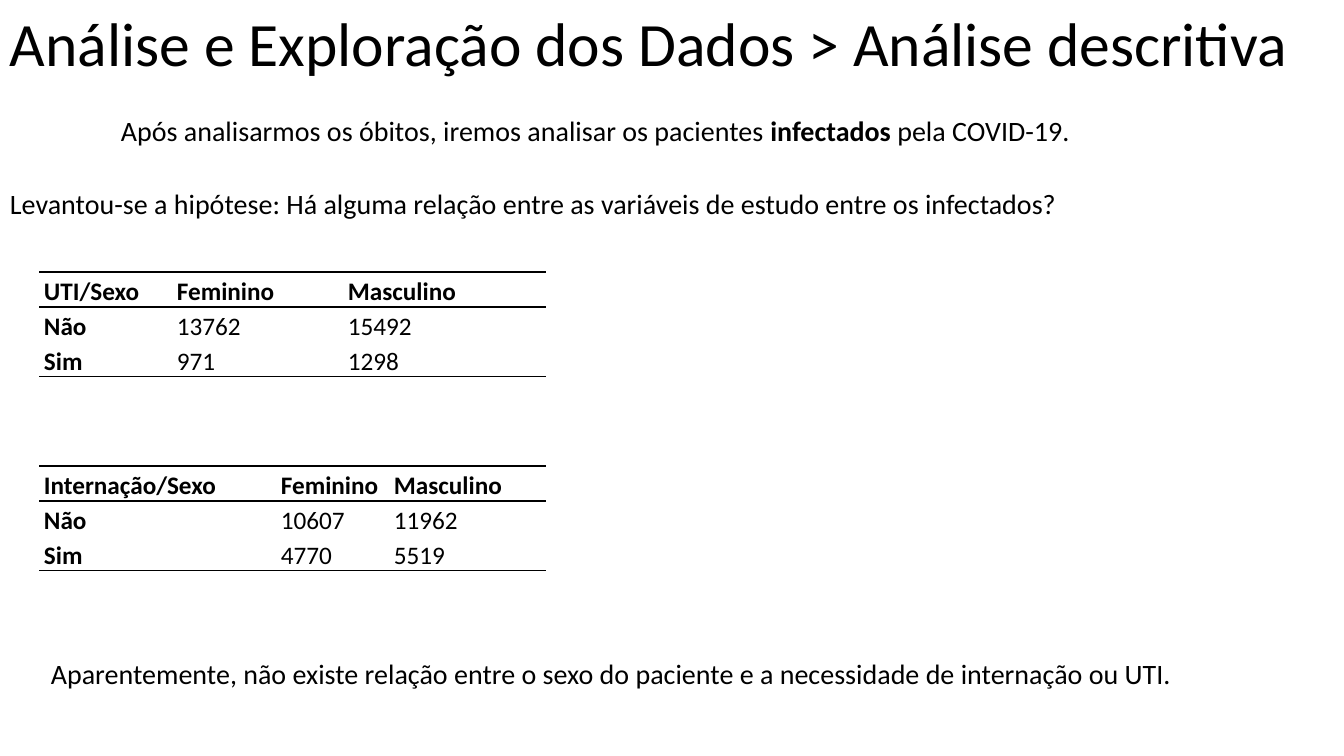
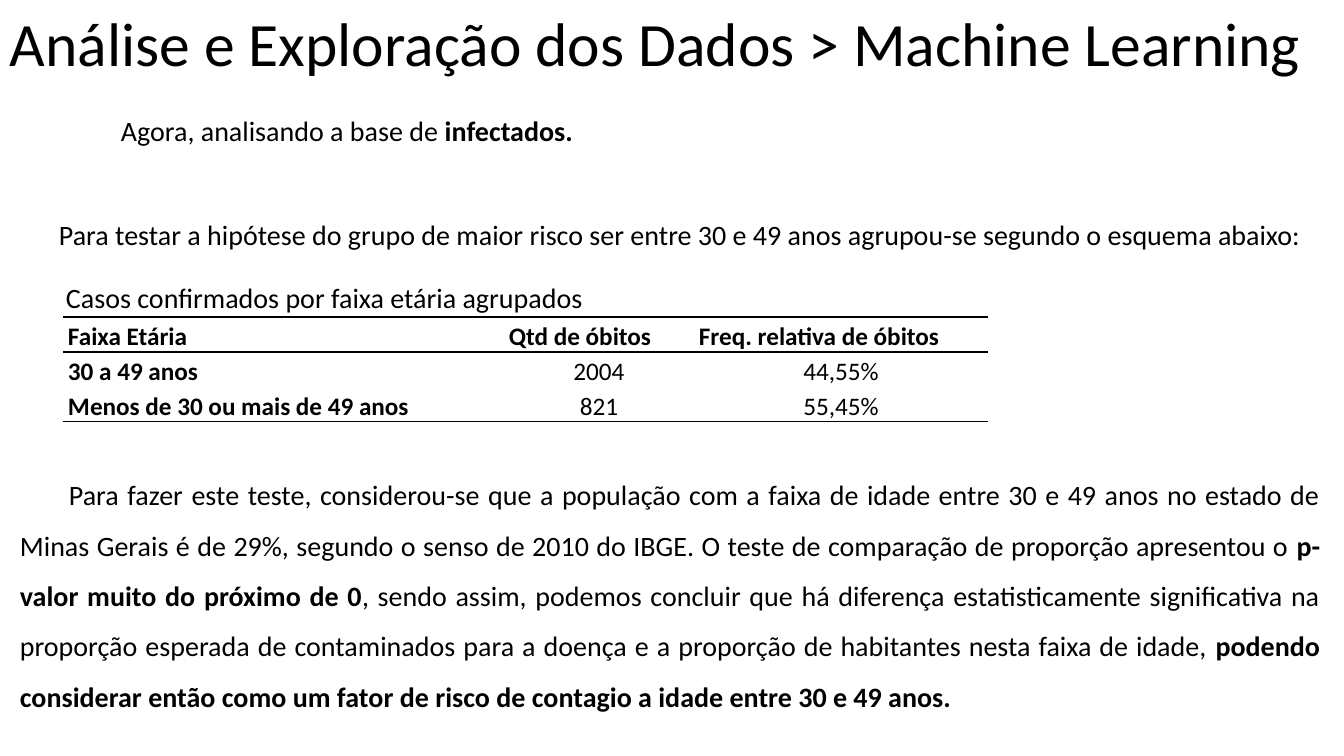
from lxml import etree
from pptx import Presentation
from pptx.dml.color import RGBColor
from pptx.enum.text import MSO_ANCHOR, MSO_AUTO_SIZE, PP_ALIGN
from pptx.oxml.ns import qn
from pptx.util import Emu, Pt

LEFT, CENTER, JUSTIFY = PP_ALIGN.LEFT, PP_ALIGN.CENTER, PP_ALIGN.JUSTIFY
BOTTOM = MSO_ANCHOR.BOTTOM
GROW = MSO_AUTO_SIZE.SHAPE_TO_FIT_TEXT
WIDE, HIGH = 1344, 756
SCALE = 12192000 / WIDE
FONT, INK = "Calibri", "000000"
TITLE, BODY, CELL = 44, 20, 18
ROW, PAD, RULE = 35, 5, 1
INDENT, TAB = 49, 101
PLAIN = "{2D5ABB26-0587-4C30-8999-92F81FD0307C}"


def px(n):
    """Turn pixels into EMU."""
    return Emu(round(n * SCALE))


def color(code):
    """Turn a hex string into a colour."""
    return RGBColor.from_string(code)


def write(para, parts, size, align=LEFT, space=None, indent=0, bold=False):
    """Fill a paragraph with runs that alternate in weight."""
    para.alignment = align
    if space:
        para.line_spacing = space
        para.space_after = Pt(10)
    if indent:
        props = para._p.get_or_add_pPr()
        props.set("marL", "0")
        props.set("indent", str(px(indent)))
    for i, part in enumerate(parts):
        run = para.add_run()
        run.text = part
        run.font.name = FONT
        run.font.size = Pt(size)
        run.font.color.rgb = color(INK)
        run.font.bold = bold != bool(i % 2)


def add_text(slide, box, parts, size=BODY, **style):
    """Place a text box that holds one paragraph."""
    frame = slide.shapes.add_textbox(*map(px, box)).text_frame
    frame.word_wrap = True
    frame.auto_size = GROW
    write(frame.paragraphs[0], parts, size, **style)


def add_rules(cell, top, bottom):
    """Draw the top and bottom rules of a cell."""
    props = cell._tc.get_or_add_tcPr()
    for side, shown in (("L", False), ("R", False), ("T", top), ("B", bottom)):
        line = etree.SubElement(props, qn("a:ln" + side), w=str(Pt(RULE)))
        if shown:
            fill = etree.SubElement(line, qn("a:solidFill"))
            etree.SubElement(fill, qn("a:srgbClr"), val=INK)
        else:
            etree.SubElement(line, qn("a:noFill"))


def add_grid(slide, left, top, widths, rows, align=LEFT):
    """Place a ruled table with bold header row and first column."""
    last = len(rows) - 1
    box = left, top, sum(widths), ROW * len(rows)
    grid = slide.shapes.add_table(len(rows), len(widths), *map(px, box)).table
    grid._tbl.tblPr.find(qn("a:tableStyleId")).text = PLAIN
    grid.horz_banding = False
    for col, width in zip(grid.columns, widths):
        col.width = px(width)
    for r, row in enumerate(rows):
        grid.rows[r].height = px(ROW)
        for c, text in enumerate(row):
            cell = grid.cell(r, c)
            cell.vertical_anchor = BOTTOM
            cell.margin_left = cell.margin_right = px(PAD)
            cell.margin_top = cell.margin_bottom = 0
            head = r == 0 or c == 0
            write(cell.text_frame.paragraphs[0], [text], CELL, space=1.15,
                  align=LEFT if head else align, bold=head)
            add_rules(cell, r < 2, r in (0, last))
            cell.fill.background()


def add_page(deck, topic, lead):
    """Start a slide with its title and lead sentence."""
    slide = deck.slides.add_slide(deck.slide_layouts[6])
    add_text(slide, (0, 0, WIDE, 85),
             [f"Análise e Exploração dos Dados > {topic}"], TITLE)
    add_text(slide, (10, 109, 1334, 44), lead, align=JUSTIFY, indent=TAB)
    return slide


def add_sexes(deck):
    """Build the slide that compares care by sex."""
    slide = add_page(deck, "Análise descritiva", [
        "Após analisarmos os óbitos, iremos analisar os pacientes ",
        "infectados", " pela COVID-19."])
    add_text(slide, (0, 177, 1306, 47), [
        "Levantou-se a hipótese: Há alguma relação entre as variáveis de "
        "estudo entre os infectados?"], align=JUSTIFY, space=1.15)
    add_text(slide, (-8, 635, 1323, 121), [
        "Aparentemente, não existe relação entre o sexo do paciente e a "
        "necessidade de internação ou UTI."],
        align=JUSTIFY, space=1.5, indent=INDENT)
    add_grid(slide, 39, 272, (133, 171, 203), [
        ("UTI/Sexo", "Feminino", "Masculino"),
        ("Não", "13762", "15492"),
        ("Sim", "971", "1298")])
    add_grid(slide, 39, 466, (237, 113, 157), [
        ("Internação/Sexo", "Feminino", "Masculino"),
        ("Não", "10607", "11962"),
        ("Sim", "4770", "5519")])


def add_ages(deck):
    """Build the slide that tests the age group at risk."""
    slide = add_page(deck, "Machine Learning", [
        "Agora, analisando a base de ", "infectados."])
    add_text(slide, (0, 196, 1320, 55), [
        "Para testar a hipótese do grupo de maior risco ser entre 30 e 49 "
        "anos agrupou-se segundo o esquema abaixo:"],
        align=JUSTIFY, space=1.5, indent=INDENT)
    add_grid(slide, 63, 317, (441, 190, 294), [
        ("Faixa Etária", "Qtd de óbitos", "Freq. relativa de óbitos"),
        ("30 a 49 anos", "2004", "44,55%"),
        ("Menos de 30 ou mais de 49 anos", "821", "55,45%")], CENTER)
    add_text(slide, (56, 276, 685, 44),
             ["Casos confirmados por faixa etária agrupados"])
    add_text(slide, (10, 456, 1320, 259), [
        "Para fazer este teste, considerou-se que a população com a faixa de "
        "idade entre 30 e 49 anos no estado de Minas Gerais é de 29%, segundo "
        "o senso de 2010 do IBGE. O teste de comparação de proporção "
        "apresentou o ",
        "p-valor muito do próximo de 0",
        ", sendo assim, podemos concluir que há diferença estatisticamente "
        "significativa na proporção esperada de contaminados para a doença e "
        "a proporção de habitantes nesta faixa de idade, ",
        "podendo considerar então como um fator de risco de contagio a idade "
        "entre 30 e 49 anos."],
        align=JUSTIFY, space=1.5, indent=INDENT)


def main():
    """Build and save the deck."""
    deck = Presentation()
    deck.slide_width, deck.slide_height = px(WIDE), px(HIGH)
    add_sexes(deck)
    add_ages(deck)
    deck.save("out.pptx")


if __name__ == "__main__":
    main()
